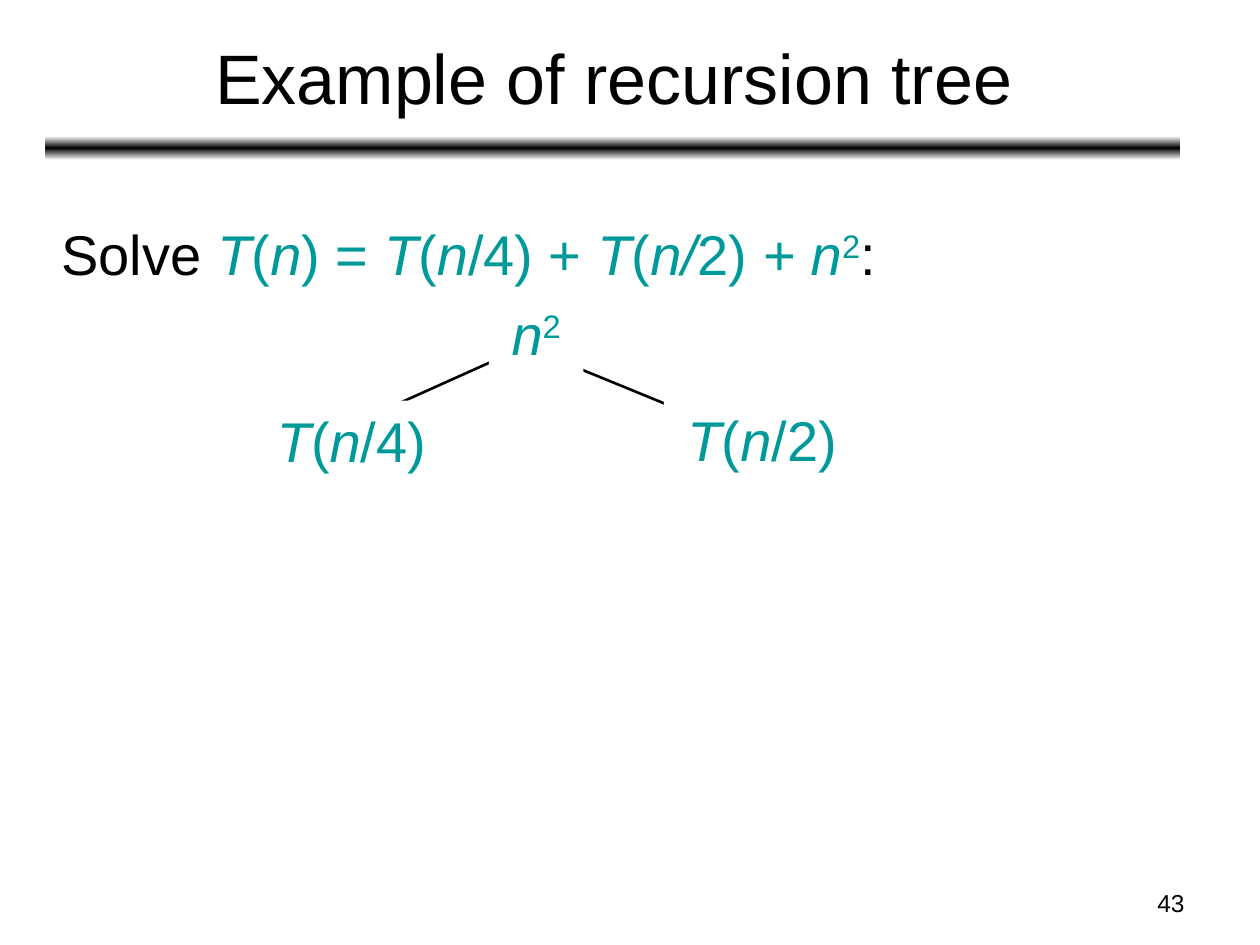
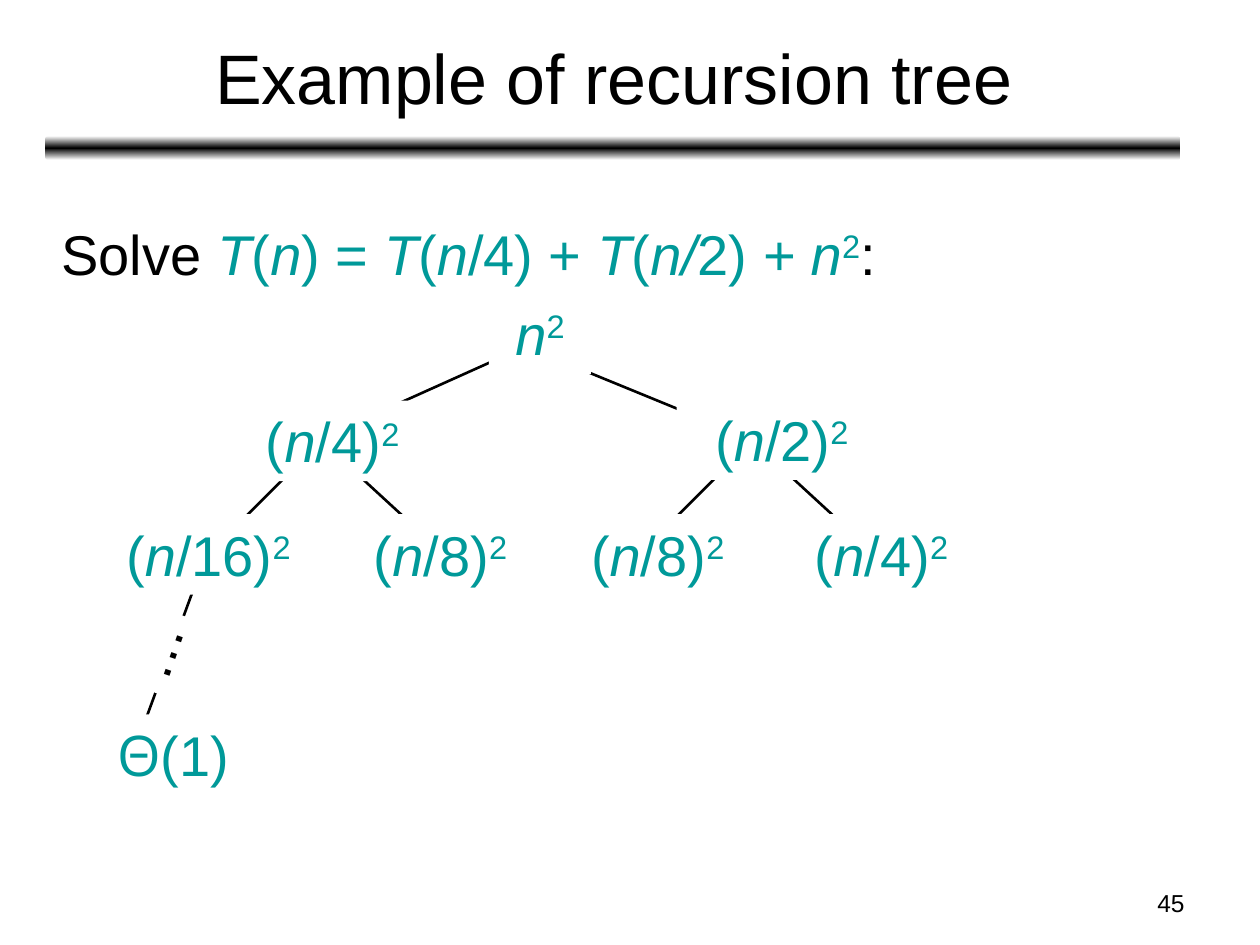
from copy import deepcopy
from itertools import product

from pptx import Presentation
from pptx.dml.color import RGBColor
from pptx.enum.shapes import MSO_CONNECTOR, MSO_SHAPE
from pptx.enum.text import MSO_ANCHOR, PP_ALIGN
from pptx.oxml.ns import qn
from pptx.util import Inches, Pt

RECTANGLE, ROUNDED = MSO_SHAPE.RECTANGLE, MSO_SHAPE.ROUNDED_RECTANGLE
STRAIGHT = MSO_CONNECTOR.STRAIGHT
LEFT, CENTER, RIGHT = PP_ALIGN.LEFT, PP_ALIGN.CENTER, PP_ALIGN.RIGHT
TOP, MIDDLE = MSO_ANCHOR.TOP, MSO_ANCHOR.MIDDLE

BLACK, WHITE, TEAL = "000000", "FFFFFF", "009999"
WIDTH, HEIGHT = 10, 7.5
COLUMNS, ROWS = 100, 75
NODE_HEIGHT = 6.4
TITLE_ONLY = 5

# Formulas: underscores switch italics, carets switch superscript
RECURRENCE = "_T_(_n_) = _T_(_n_/4) + _T_(_n/_2)_ + n_^2^"
ROOT_COST = "_n_^2^"


def color(value):
    return RGBColor.from_string(value)


def cost(divisor):
    return f"(_n_/{divisor})^2^"


class TreeDeck:
    def __init__(self):
        self.deck = Presentation()
        self.deck.slide_width = Inches(WIDTH)
        self.deck.slide_height = Inches(HEIGHT)
        self.text_format = {"name": "Arial", "size": Pt(32)}

    def place(self, *lengths):
        """Turn alternating columns and rows into slide lengths."""
        units = (WIDTH / COLUMNS, HEIGHT / ROWS)
        return [Inches(length * units[index % 2]) for index, length in enumerate(lengths)]

    def fill_text(self, box, parts, align=CENTER, anchor=TOP):
        """Fill a box with (text, color, format) parts."""
        frame = box.text_frame
        frame.word_wrap = True
        frame.vertical_anchor = anchor
        para = frame.paragraphs[0]
        para.alignment = align
        for text, hue, extra in parts:
            italic = raised = False
            for mark in text.replace("_", "|_|").replace("^", "|^|").split("|"):
                if mark == "_":
                    italic = not italic
                elif mark == "^":
                    raised = not raised
                elif mark:
                    span = para.add_run()
                    span.text = mark
                    span.font.color.rgb = color(hue)
                    values = {**self.text_format, "italic": italic, **extra}
                    for name, value in values.items():
                        setattr(span.font, name, value)
                    if raised:
                        span.font._element.set("baseline", "30000")

    def page(self, title, number):
        self.slide = self.deck.slides.add_slide(self.deck.slide_layouts[TITLE_ONLY])
        self.shapes = self.slide.shapes
        self.band()
        heading = self.shapes.title
        spot = self.place(3.7, 1.1, 90, 9.9)
        for name, value in zip(("left", "top", "width", "height"), spot):
            setattr(heading, name, value)
        self.fill_text(heading, [(title, BLACK, {"size": Pt(40)})], anchor=MIDDLE)
        self.label((71.7, 70, 23.3, 3.5), [(str(number), BLACK, {"size": Pt(14)})], RIGHT)

    def band(self):
        bar = self.shapes.add_shape(ROUNDED, *self.place(3.6, 10.8, 90.1, 1.9))
        bar.shadow.inherit = False
        bar.line.fill.background()
        bar.fill.gradient()
        bar.fill.gradient_angle = 90
        stop_list = bar._element.spPr.find(qn("a:gradFill")).find(qn("a:gsLst"))
        stop_list.append(deepcopy(stop_list[0]))
        for stop, position, hue in zip(bar.fill.gradient_stops, (0, 0.5, 1),
                                       (WHITE, BLACK, WHITE)):
            stop.position = position
            stop.color.rgb = color(hue)

    def label(self, spot, parts, align=LEFT):
        self.fill_text(self.shapes.add_textbox(*self.place(*spot)), parts, align)

    def branch(self, start, end):
        line = self.shapes.add_connector(STRAIGHT, *self.place(*start, *end))
        line.line.color.rgb = color(BLACK)
        line.line.width = Pt(1.5)
        properties = line._element.spPr
        properties.append(properties.makeelement(qn("a:effectLst"), {}))

    def node(self, left, top, width, parts, height=NODE_HEIGHT, turn=0):
        """Add a white box that hides the branch ends behind it."""
        box = self.shapes.add_shape(RECTANGLE, *self.place(left, top, width, height))
        box.shadow.inherit = False
        box.fill.solid()
        box.fill.fore_color.rgb = color(WHITE)
        box.line.fill.background()
        box.rotation = turn
        self.fill_text(box, parts)

    def tree(self, branches, nodes):
        for start, end in branches:
            self.branch(start, end)
        for left, top, width, formula in nodes:
            self.node(left, top, width, [(formula, TEAL, {})])

    def problem(self):
        self.label((3.9, 16.9, 87.2, 6.4), [("Solve ", BLACK, {}), (RECURRENCE, TEAL, {}),
                                            (":", BLACK, {})])


def main():
    show = TreeDeck()
    title = "Example of recursion tree"
    root = (41.7, 27.5)
    root_branches = [(root, (25, 35)), (root, (60, 35))]

    # First expansion
    show.page(title, 43)
    show.tree(root_branches, [
        (17.5, 31.8, 20.8, "_T_(_n_/4)"),
        (52.7, 31.7, 15.6, "_T_(_n_/2)"),
        (38.8, 23.3, 7.5, ROOT_COST),
    ])
    show.problem()

    # Full tree down to the constant leaf
    show.page(title, 45)
    inner_branches = [((parent, 35), (parent + shift, 44.2))
                      for parent, shift in product((25.5, 59.7), (-9.2, 10))]
    leaf_branch = ((16.3, 44.2), (10.5, 60))
    show.tree(root_branches + inner_branches + [leaf_branch], [
        (8.2, 40.8, 16.7, cost(16)),
        (27.4, 40.8, 15.1, cost(8)),
        (44.3, 40.8, 15.8, cost(8)),
        (62.4, 40.8, 15.1, cost(4)),
        (18.5, 31.8, 15.8, cost(4)),
        (53.7, 31.7, 16.7, cost(2)),
        (38.8, 23.3, 8.1, ROOT_COST),
    ])
    show.node(6.7, 56.7, 14.1, [("Θ", TEAL, {"name": "Open Sans"}), ("(1)", TEAL, {})])
    show.node(9.1, 48.4, 6.5, [("…", BLACK, {})], height=6.3, turn=289)
    show.problem()

    show.deck.save("out.pptx")


if __name__ == "__main__":
    main()
